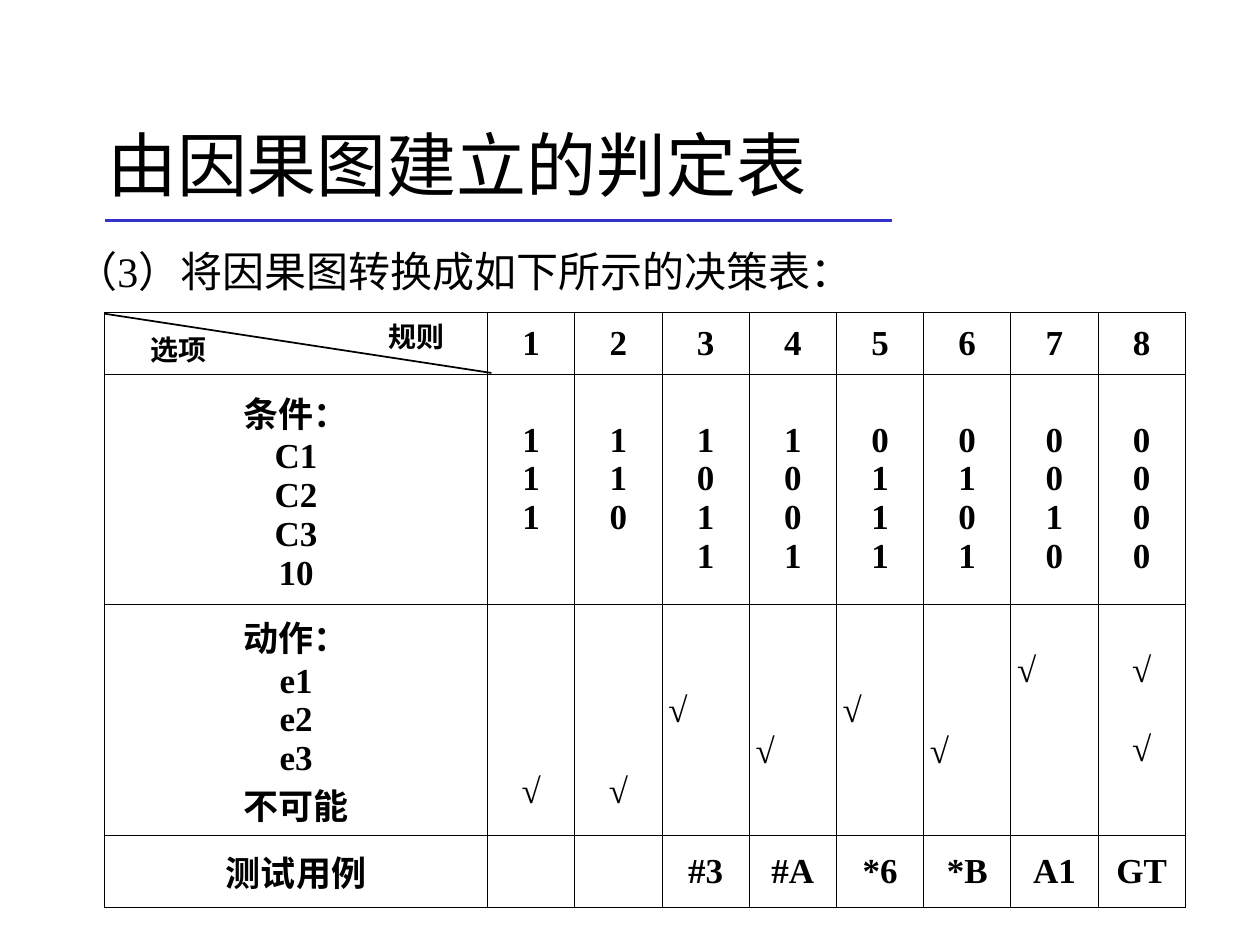
import pptx
import pptx.dml.color
import pptx.enum.shapes
import pptx.enum.text
import pptx.oxml
import pptx.oxml.ns
import pptx.util
from pptx.util import Inches

BLACK = pptx.dml.color.RGBColor(0x00, 0x00, 0x00)
BLUE = pptx.dml.color.RGBColor(0x33, 0x33, 0xCC)
CENTER = pptx.enum.text.PP_ALIGN.CENTER
LEFT = pptx.enum.text.PP_ALIGN.LEFT
MIDDLE = pptx.enum.text.MSO_ANCHOR.MIDDLE
TOP = pptx.enum.text.MSO_ANCHOR.TOP

TITLE_FONT = {"name": "Times New Roman", "size": pptx.util.Pt(40), "bold": False}
BODY_FONT = {**TITLE_FONT, "size": pptx.util.Pt(24)}
CELL_FONT = {**TITLE_FONT, "size": pptx.util.Pt(20), "bold": True}
LABEL_FONT = {**CELL_FONT, "size": pptx.util.Pt(16)}

LINE_POINTS = 23
CELL_MARGIN = Inches(0.05)
CORNER_WIDTH = 3.04
ROW_HEIGHTS = [0.49, 1.83, 1.83, 0.57]
CONDITIONS = ["条件：", "C1", "C2", "C3", "10"]
ACTIONS = ["动作：", "e1", "e2", "e3", "不可能"]
RULES = [
    ("111", [4], CENTER, ""),
    ("110", [4], CENTER, ""),
    ("1011", [2], LEFT, "#3"),
    ("1001", [3], LEFT, "#A"),
    ("0111", [2], LEFT, "*6"),
    ("0101", [3], LEFT, "*B"),
    ("0010", [1], LEFT, "A1"),
    ("0000", [1, 3], CENTER, "GT"),
]


def write_lines(frame, lines, font, alignment):
    for index, line in enumerate(lines):
        paragraph = frame.paragraphs[0] if index == 0 else frame.add_paragraph()
        paragraph.text = line
        paragraph.alignment = alignment
        for name, value in font.items():
            setattr(paragraph.font, name, value)
        paragraph.font.color.rgb = BLACK


def add_line(slide, start, end, color, width):
    connector = slide.shapes.add_connector(
        pptx.enum.shapes.MSO_CONNECTOR.STRAIGHT,
        *(Inches(value) for value in (*start, *end)))
    connector.line.color.rgb = color
    connector.line.width = pptx.util.Pt(width)
    properties = connector._element.spPr
    properties.append(pptx.oxml.parse_xml(
        f'<a:effectLst {pptx.oxml.ns.nsdecls("a")}/>'))


def add_text(slide, box, text, font, alignment):
    frame = slide.shapes.add_textbox(*(Inches(value) for value in box)).text_frame
    frame.word_wrap = True
    write_lines(frame, [text], font, alignment)


def add_title(slide, box):
    title = slide.shapes.title
    title.left, title.top, title.width, title.height = (Inches(value) for value in box)
    title.text_frame.auto_size = pptx.enum.text.MSO_AUTO_SIZE.NONE
    title.text_frame.vertical_anchor = MIDDLE
    write_lines(title.text_frame, ["由因果图建立的判定表"], TITLE_FONT, LEFT)
    add_line(slide, (0.83, 1.75), (7.08, 1.75), BLUE, 2.25)


def add_borders(cell):
    properties = cell._tc.get_or_add_tcPr()
    for index, side in enumerate(("lnL", "lnR", "lnT", "lnB")):
        properties.insert(index, pptx.oxml.parse_xml(
            f'<a:{side} {pptx.oxml.ns.nsdecls("a")} w="{pptx.util.Pt(0.45)}">'
            f'<a:solidFill><a:srgbClr val="{BLACK}"/></a:solidFill></a:{side}>'))


def fill_cell(cell, lines, alignment=CENTER, anchor=MIDDLE, skipped_lines=0):
    write_lines(cell.text_frame, lines, CELL_FONT, alignment)
    cell.vertical_anchor = anchor
    cell.margin_top = CELL_MARGIN + pptx.util.Pt(LINE_POINTS * skipped_lines)


def fill_rule(table, column, rule):
    digits, marks, alignment, test_case = rule
    fill_cell(table.cell(0, column), [str(column)])
    fill_cell(table.cell(1, column), digits, anchor=TOP, skipped_lines=1)
    action_cell = table.cell(2, column)
    fill_cell(action_cell, ["√"] * len(marks), alignment, TOP, marks[0])
    paragraphs = action_cell.text_frame.paragraphs
    for previous, current, paragraph in zip(marks, marks[1:], paragraphs[1:]):
        paragraph.space_before = pptx.util.Pt(LINE_POINTS * (current - previous - 1))
    fill_cell(table.cell(3, column), [test_case])


def add_decision_table(slide, box):
    left, top, width, height = box
    table = slide.shapes.add_table(
        len(ROW_HEIGHTS), len(RULES) + 1, *(Inches(value) for value in box)).table
    table.first_row = False
    table.horz_banding = False
    for row, row_height in zip(table.rows, ROW_HEIGHTS):
        row.height = Inches(row_height)
    for index, column in enumerate(table.columns):
        rule_width = (width - CORNER_WIDTH) / len(RULES)
        column.width = Inches(rule_width if index else CORNER_WIDTH)
    for cell in table.iter_cells():
        cell.fill.background()
        add_borders(cell)
        for side in ("left", "right", "top", "bottom"):
            setattr(cell, f"margin_{side}", CELL_MARGIN)
    for row, lines in enumerate([CONDITIONS, ACTIONS, ["测试用例"]], start=1):
        fill_cell(table.cell(row, 0), lines)
    for column, rule in enumerate(RULES, start=1):
        fill_rule(table, column, rule)
    add_line(slide, (left, top + 0.01), (left + 3.07, top + 0.48), BLACK, 1)
    add_text(slide, (left + 2.12, top + 0.01, 0.71, 0.37), "规则", LABEL_FONT, CENTER)
    add_text(slide, (left + 0.23, top + 0.11, 0.71, 0.37), "选项", LABEL_FONT, CENTER)


def main():
    presentation = pptx.Presentation()
    presentation.slide_width = Inches(10)
    presentation.slide_height = Inches(7.5)
    slide = presentation.slides.add_slide(presentation.slide_layouts[5])
    add_title(slide, (0.75, 0.67, 8.5, 1.25))
    add_text(slide, (0.5, 1.9, 9.15, 0.5),
             "（3）将因果图转换成如下所示的决策表：", BODY_FONT, LEFT)
    add_decision_table(slide, (0.83, 2.48, 8.58, 4.72))
    presentation.save("out.pptx")


if __name__ == "__main__":
    main()
